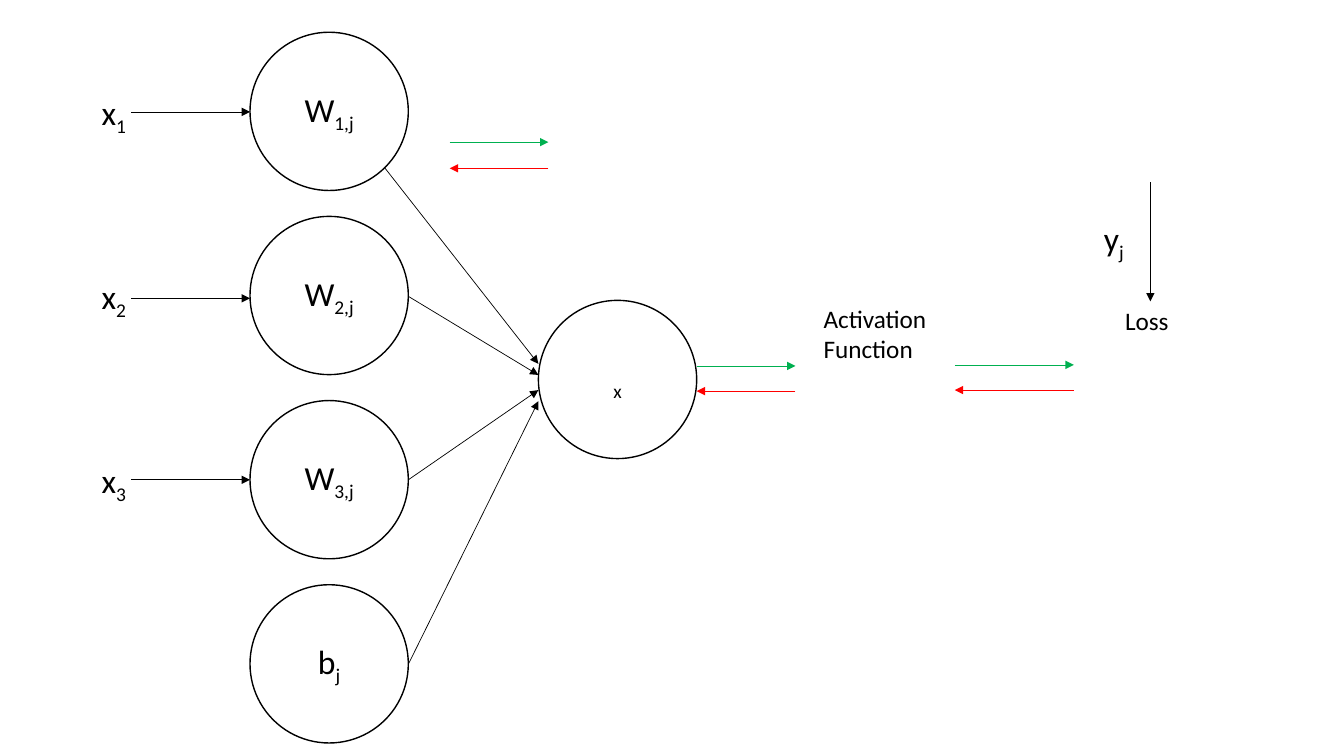
"""Build a slide of one neuron with its forward and backward passes."""
from lxml.etree import SubElement
from pptx import Presentation
from pptx.dml.color import RGBColor
from pptx.enum.shapes import MSO_CONNECTOR, MSO_SHAPE
from pptx.enum.text import MSO_ANCHOR, MSO_AUTO_SIZE, PP_ALIGN
from pptx.oxml.ns import qn
from pptx.util import Inches, Pt

BLACK = RGBColor(0, 0, 0)
GREEN = RGBColor(0x00, 0xB0, 0x50)
RED = RGBColor(0xFF, 0, 0)
DIAMETER = 1.57
WEIGHT_LEFT, WEIGHT_TOP, WEIGHT_STEP = 2.48, 0.32, 1.827
SUM_LEFT, SUM_TOP = 5.34, 2.98

prs = Presentation()
prs.slide_width, prs.slide_height = Inches(13.33), Inches(7.5)
slide = prs.slides.add_slide(prs.slide_layouts[6])


def write_symbol(frame, base, subscript="", size=24):
    paragraph = frame.paragraphs[0]
    for text, offset in ((base, None), (subscript, "-25000")):
        if text:
            run = paragraph.add_run()
            run.text = text
            run.font.name, run.font.size = "Calibri", Pt(size)
            run.font.color.rgb = BLACK
            if offset:
                run._r.get_or_add_rPr().set("baseline", offset)
    return paragraph


def add_arrow(start, end, color=BLACK):
    points = [Inches(value) for value in (*start, *end)]
    arrow = slide.shapes.add_connector(MSO_CONNECTOR.STRAIGHT, *points)
    arrow.line.color.rgb, arrow.line.width = color, Pt(0.5)
    SubElement(arrow.line._get_or_add_ln(), qn("a:tailEnd"), type="triangle")
    SubElement(arrow._element.spPr, qn("a:effectLst"))


neurons = [(WEIGHT_LEFT, WEIGHT_TOP + row * WEIGHT_STEP, base, subscript)
           for row, (base, subscript) in enumerate(
               [("W", "1,j"), ("W", "2,j"), ("W", "3,j"), ("b", "j")])]
neurons.append((SUM_LEFT, SUM_TOP, "", "x"))
for left, top, base, subscript in neurons:
    neuron = slide.shapes.add_shape(
        MSO_SHAPE.OVAL, Inches(left), Inches(top), Inches(DIAMETER), Inches(DIAMETER))
    neuron.shadow.inherit = False
    neuron.fill.background()
    neuron.line.color.rgb, neuron.line.width = BLACK, Pt(1)
    neuron.text_frame.vertical_anchor = MSO_ANCHOR.MIDDLE
    write_symbol(neuron.text_frame, base, subscript).alignment = PP_ALIGN.CENTER

weight_right = WEIGHT_LEFT + DIAMETER
for start, sum_y in [((3.82, 1.67), 3.61), ((weight_right, 2.94), 3.72),
                     ((weight_right, 4.76), 3.87), ((weight_right, 6.59), 3.98)]:
    add_arrow(start, (SUM_LEFT, sum_y))

for input_y in (1.11, 2.96, 4.76):
    add_arrow((1.3, input_y), (WEIGHT_LEFT, input_y))
add_arrow((11.41, 1.81), (11.41, 2.99))

for left, right, forward_y, backward_y in [
        (4.46, 5.44, 1.41, 1.67), (6.91, 7.89, 3.63, 3.88), (9.47, 10.65, 3.62, 3.87)]:
    add_arrow((left, forward_y), (right, forward_y), GREEN)
    add_arrow((right, backward_y), (left, backward_y), RED)

labels = [(0.91, 0.86 + row * WEIGHT_STEP, 0.46, 0.5, "x", str(row + 1), 24)
          for row in range(3)]
labels += [(10.85, 2.11, 0.41, 0.5, "y", "j", 24),
           (8.07, 2.96, 1.23, 0.71, "Activation Function", "", 18),
           (11.06, 2.98, 0.69, 0.4, "Loss", "", 18)]
for left, top, width, height, base, subscript, size in labels:
    label = slide.shapes.add_textbox(
        Inches(left), Inches(top), Inches(width), Inches(height))
    label.text_frame.word_wrap = not subscript
    label.text_frame.auto_size = MSO_AUTO_SIZE.SHAPE_TO_FIT_TEXT
    write_symbol(label.text_frame, base, subscript, size)

prs.save("out.pptx")
